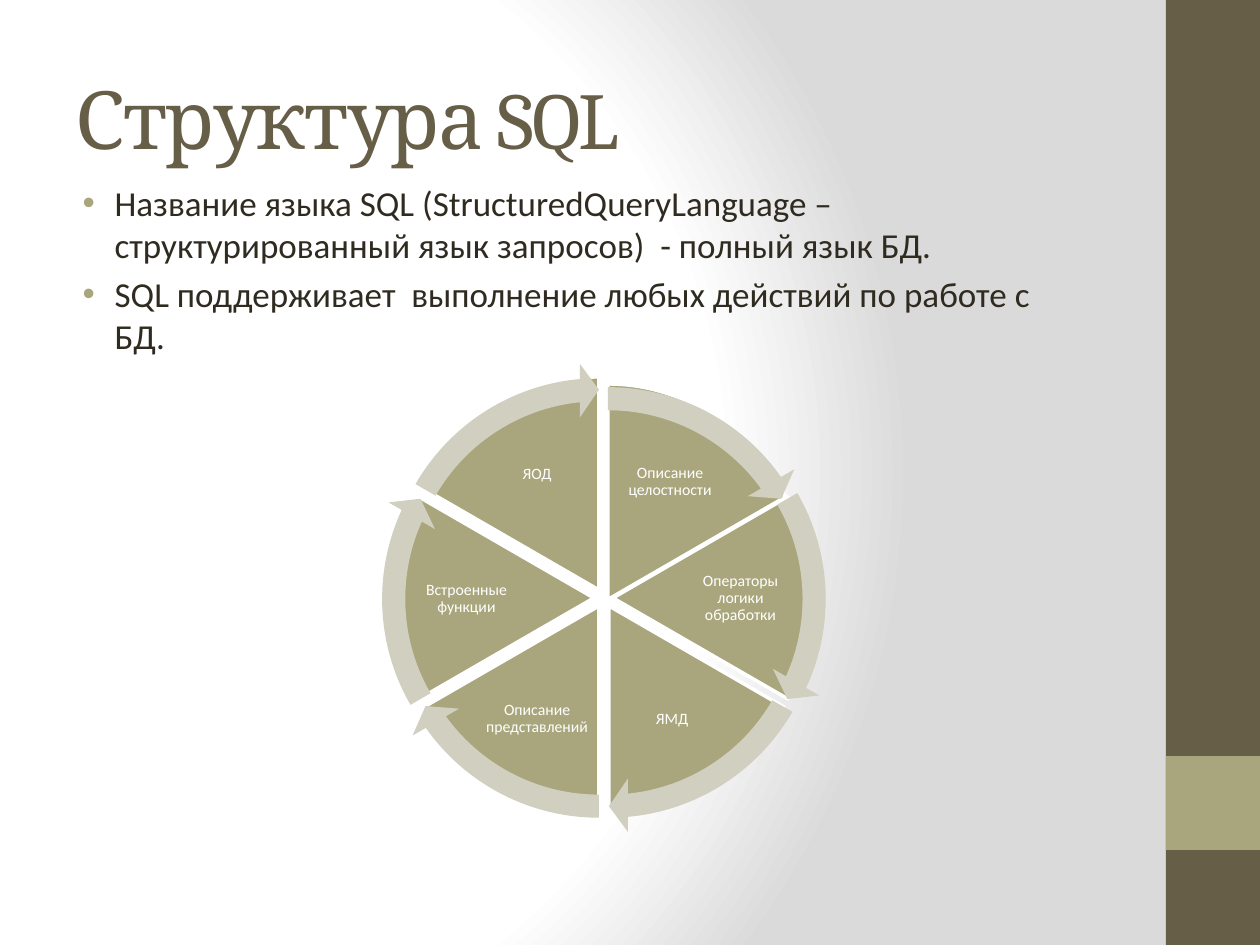
"""Build the SQL structure slide with a six-part cycle diagram."""
from pptx import Presentation
from pptx.dml.color import RGBColor
from pptx.enum.shapes import MSO_SHAPE
from pptx.enum.text import MSO_ANCHOR, MSO_AUTO_SIZE, PP_ALIGN
from pptx.oxml import parse_xml
from pptx.oxml.ns import nsdecls
from pptx.util import Emu, Pt

RECT, PIE, ARROW = MSO_SHAPE.RECTANGLE, MSO_SHAPE.PIE, MSO_SHAPE.CIRCULAR_ARROW
TOP, MIDDLE = MSO_ANCHOR.TOP, MSO_ANCHOR.MIDDLE
LEFT, CENTER = PP_ALIGN.LEFT, PP_ALIGN.CENTER
NO_AUTOFIT = MSO_AUTO_SIZE.NONE
BROWN = RGBColor(0x67, 0x5E, 0x47)
OLIVE = RGBColor(0xA9, 0xA5, 0x7C)
PALE = RGBColor(0xD1, 0xCF, 0xBF)
DARK = RGBColor(0x2F, 0x2B, 0x20)
WHITE = RGBColor(0xFF, 0xFF, 0xFF)
SCALE = 914400 / 126
FULL_TURN, STEP, HEAD = 216, 36, 3.275


def px(*lengths):
    return [Emu(round(n * SCALE)) for n in lengths]


def add_filled(shapes, kind, box, color, adjustments=()):
    shape = shapes.add_shape(kind, *px(*box))
    shape.shadow.inherit = False
    shape.fill.solid()
    shape.fill.fore_color.rgb = color
    shape.line.fill.background()
    for i, value in enumerate(adjustments):
        shape.adjustments[i] = value
    return shape


prs = Presentation()
prs.slide_width, prs.slide_height = px(1260, 945)
s = prs.slides.add_slide(prs.slide_layouts[1])

stops = "".join(
    f'<a:gs pos="{pos}"><a:srgbClr val="{color}"/></a:gs>'
    for pos, color in ((0, "FFFFFF"), (75000, "FFFFFF"), (100000, "DADADA")))
s.element.cSld.insert(0, parse_xml(
    f'<p:bg {nsdecls("p", "a")}><p:bgPr><a:gradFill rotWithShape="1">'
    f'<a:gsLst>{stops}</a:gsLst><a:path path="circle">'
    '<a:fillToRect l="20000" t="50000" r="100000" b="50000"/></a:path>'
    '</a:gradFill><a:effectLst/></p:bgPr></p:bg>'))

add_filled(s.shapes, RECT, (1166, 0, 94, 945), BROWN)
add_filled(s.shapes, RECT, (1166, 756, 94, 94), OLIVE)

title, body = s.placeholders
contents = (
    (title, (63, 38, 1050, 158), MIDDLE, ["Структура SQL"],
     {"name": "Cambria", "size": Pt(46)}, BROWN),
    (body, (54, 175, 994, 212), TOP,
     ["Название языка SQL (StructuredQueryLanguage – "
      "структурированный язык запросов)  - полный язык БД.",
      "SQL поддерживает  выполнение любых действий по работе с БД."],
     {"name": "Calibri", "size": Pt(20)}, DARK),
)
for sp, box, anchor, lines, font, color in contents:
    sp.left, sp.top, sp.width, sp.height = px(*box)
    tf = sp.text_frame
    tf.auto_size = NO_AUTOFIT
    tf.vertical_anchor = anchor
    tf.text = "\n".join(lines)
    for p in tf.paragraphs:
        p.alignment = LEFT
        r = p.runs[0]
        for key, value in font.items():
            setattr(r.font, key, value)
        r.font.color.rgb = color

title.text_frame.paragraphs[0].runs[0].font._element.set("spc", "-100")
for p in body.text_frame.paragraphs:
    pPr = p._p.get_or_add_pPr()
    margin, indent = px(48, -32)
    pPr.set("marL", str(margin))
    pPr.set("indent", str(indent))
    pPr.append(parse_xml(
        f'<a:buClr {nsdecls("a")}><a:srgbClr val="{OLIVE}"/></a:buClr>'))

sectors = (
    ("Описание целостности", (406, 384, 404, 431), (617, 438, 106, 87), (381, 372)),
    ("Операторы логики обработки", (411, 396, 404, 404), (685, 559, 111, 79), (387, 372)),
    ("ЯМД", (407, 404, 404, 404), (619, 678, 106, 82), (382, 379)),
    ("Описание представлений", (397, 404, 404, 404), (484, 678, 106, 82), (372, 379)),
    ("Встроенные функции", (392, 396, 404, 404), (411, 559, 111, 79), (367, 372)),
    ("ЯОД", (397, 377, 404, 426), (484, 431, 106, 86), (372, 363)),
)
starts = [(162 + STEP * i) % FULL_TURN for i in range(len(sectors))]
cycle = s.shapes.add_group_shape().shapes

for start, (label, wedge_box, label_box, _) in zip(starts, sectors):
    wedge = add_filled(cycle, PIE, wedge_box, OLIVE,
                       (start, (start + STEP) % FULL_TURN))
    wedge.line.color.rgb = WHITE
    wedge.line.width = Pt(2)
    tf = cycle.add_textbox(*px(*label_box)).text_frame
    tf.word_wrap = True
    tf.vertical_anchor = MIDDLE
    for side in ("left", "top", "right", "bottom"):
        setattr(tf, f"margin_{side}", px(1)[0])
    p = tf.paragraphs[0]
    p.alignment = CENTER
    p.line_spacing = 0.9
    r = p.add_run()
    r.text = label
    r.font.name = "Calibri"
    r.font.size = Pt(9)
    r.font.color.rgb = WHITE

for start, (_, _, _, corner) in zip(starts, sectors):
    end = (start + STEP - HEAD) % FULL_TURN
    add_filled(cycle, ARROW, (*corner, 454, 454), PALE,
               (0.051, HEAD, end, start, 0.059))

prs.save("out.pptx")
